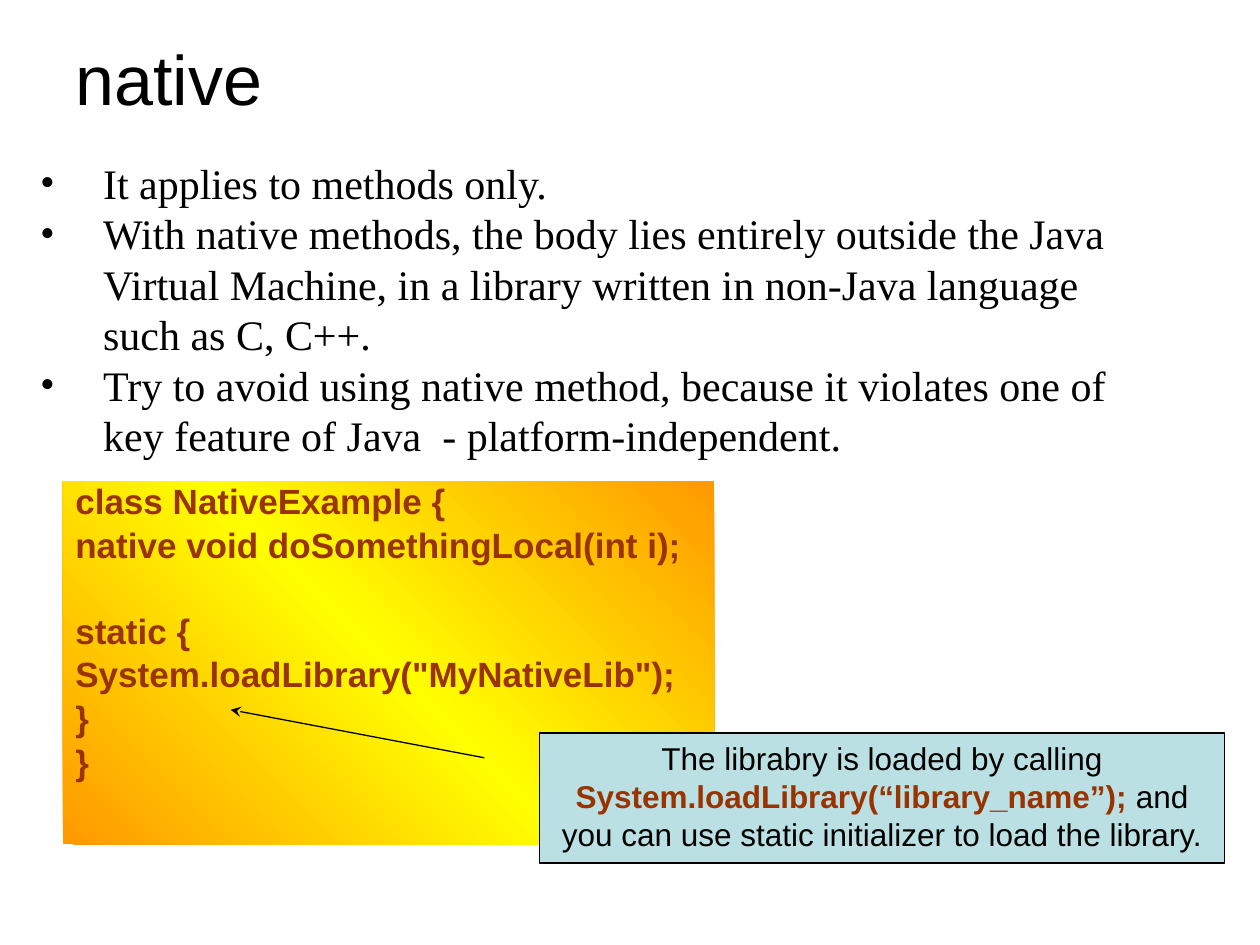
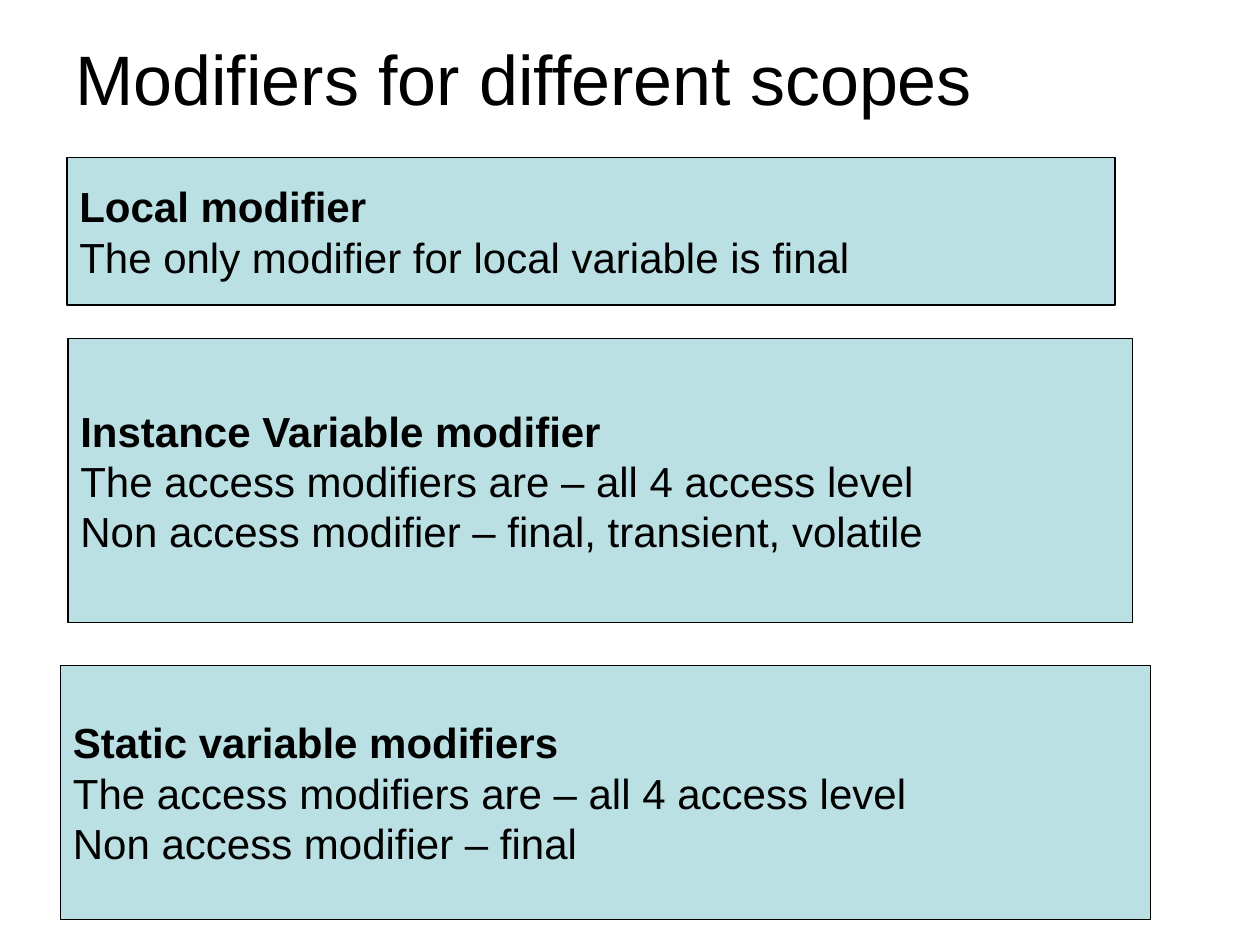
"""Build two slides on Java modifiers."""
from copy import deepcopy
from dataclasses import dataclass

from lxml.etree import SubElement as Sub
from pptx import Presentation as Deck
from pptx.dml.color import RGBColor as Rgb
from pptx.enum.shapes import MSO_SHAPE as Kind
from pptx.enum.text import MSO_ANCHOR as Anchor, PP_ALIGN as Align
from pptx.oxml.ns import qn
from pptx.util import Cm, Pt


@dataclass(frozen=True)
class Theme:
    """Hold the colours, fonts and type sizes."""
    ink: Rgb = Rgb(0, 0, 0)
    code: Rgb = Rgb(0x99, 0x33, 0x00)
    panel: Rgb = Rgb(0xBB, 0xE0, 0xE3)
    glow: tuple = (Rgb(0xFF, 0x99, 0), Rgb(0xFF, 0xFF, 0), Rgb(0xFF, 0x99, 0))
    sans: str = "Arial"
    serif: str = "Times New Roman"
    title: int = 40
    body: int = 24
    list: int = 20
    note: int = 18


LOOK = Theme()


def style(run, size, color=LOOK.ink, bold=False, face=LOOK.sans):
    """Format one run."""
    font = run.font
    font.name, font.size, font.bold = face, Pt(size), bold
    font.color.rgb = color


def write(shape, lines, anchor=Anchor.TOP):
    """Fill a shape with left-aligned paragraphs and return them."""
    frame = shape.text_frame
    frame.word_wrap = True
    frame.vertical_anchor = anchor
    frame.text = "\n".join(lines)
    for para in frame.paragraphs:
        para.alignment = Align.LEFT
    return frame.paragraphs


def add_text(slide, box, lines, anchor=Anchor.TOP):
    """Add a text box and return its paragraphs."""
    return write(slide.shapes.add_textbox(*map(Cm, box)), lines, anchor)


def add_title(slide, text):
    """Add the slide title."""
    para, = add_text(slide, (1.27, 0.76, 22.86, 1.6), [text], Anchor.MIDDLE)
    style(para.runs[0], LOOK.title)


def add_box(slide, box, kind=Kind.RECTANGLE):
    """Add a pale panel with a thin outline."""
    shape = slide.shapes.add_shape(kind, *map(Cm, box))
    shape.shadow.inherit = False
    shape.fill.solid()
    shape.fill.fore_color.rgb = LOOK.panel
    shape.line.color.rgb = LOOK.ink
    shape.line.width = Pt(0.75)
    return shape


def add_points(slide, box, lines):
    """Add a bulleted list."""
    for para in add_text(slide, box, lines):
        style(para.runs[0], LOOK.body, face=LOOK.serif)
        props = para._p.get_or_add_pPr()
        props.set("marL", str(Cm(1.27)))
        props.set("indent", str(-Cm(1.27)))
        Sub(props, qn("a:buFont"), typeface=LOOK.serif)
        Sub(props, qn("a:buChar"), char="•")


def add_code(slide, box, blocks):
    """Add code blocks on a gradient panel."""
    shape = add_box(slide, box)
    shape.line.fill.background()
    fill = shape.fill
    fill.gradient()
    fill.gradient_angle = 225
    stops = shape._element.spPr.find(".//" + qn("a:gsLst"))
    stops.append(deepcopy(stops[0]))
    for num, (stop, color) in enumerate(zip(fill.gradient_stops, LOOK.glow)):
        stop.position = num / 2
        stop.color.rgb = color
    heads = [block[0] for block in blocks[1:]]
    for para in write(shape, sum(blocks, [])):
        para.line_spacing = 0.8
        para.space_before = Pt(30 if para.text in heads else 5.8)
        style(para.runs[0], LOOK.list, LOOK.code, True)


def add_note(slide, box, parts, bends):
    """Add a callout with an arrow; each part is a text and a code flag."""
    shape = add_box(slide, box, Kind.LINE_CALLOUT_1)
    for num, bend in enumerate(bends):
        shape.adjustments[num] = bend
    Sub(shape.line._get_or_add_ln(), qn("a:tailEnd"), type="stealth")
    para, = write(shape, [""])
    para.alignment = Align.CENTER
    for text, code in parts:
        run = para.add_run()
        run.text = text
        style(run, LOOK.note, LOOK.code if code else LOOK.ink, code)


def add_panel(slide, box, lines):
    """Add a panel whose first line is a bold heading."""
    paras = write(add_box(slide, box), lines, Anchor.MIDDLE)
    for num, para in enumerate(paras):
        style(para.runs[0], LOOK.body, bold=num == 0)


def draw_native(slide):
    """Draw the slide on native methods."""
    add_title(slide, "native")
    add_code(slide, (1.27, 9.7, 13.13, 7.32), [
        ["class NativeExample {", "native void doSomethingLocal(int i);"],
        ["static {", 'System.loadLibrary("MyNativeLib");', "}", "}"],
    ])
    add_points(slide, (0.56, 3.05, 22.86, 6.35), [
        "It applies to methods only.",
        "With native methods, the body lies entirely outside the Java Virtual "
        "Machine, in a library written in non-Java language such as C, C++.",
        "Try to avoid using native method, because it violates one of key "
        "feature of Java  - platform-independent.",
    ])
    add_note(slide, (10.87, 14.78, 13.82, 2.62), [
        ("The librabry is loaded by calling ", False),
        ("System.loadLibrary(“library_name”);", True),
        (" and you can use static initializer to load the library.", False),
    ], (0.19, -0.08, -0.18, -0.45))


def draw_scopes(slide):
    """Draw the slide on modifiers by scope."""
    access = "The access modifiers are – all 4 access level"
    add_title(slide, "Modifiers for different scopes")
    add_panel(slide, (1.37, 6.83, 21.46, 5.72), [
        "Instance Variable modifier", access,
        "Non access modifier – final, transient, volatile"])
    add_panel(slide, (1.22, 13.41, 21.97, 5.13), [
        "Static variable modifiers", access, "Non access modifier – final"])
    add_panel(slide, (1.35, 3.18, 21.13, 2.97), [
        "Local modifier", "The only modifier for local variable is final"])


def main():
    """Build and save the deck."""
    deck = Deck()
    deck.slide_width, deck.slide_height = Cm(25.4), Cm(19.05)
    for draw in (draw_native, draw_scopes):
        draw(deck.slides.add_slide(deck.slide_layouts[6]))
    deck.save("out.pptx")


if __name__ == "__main__":
    main()
